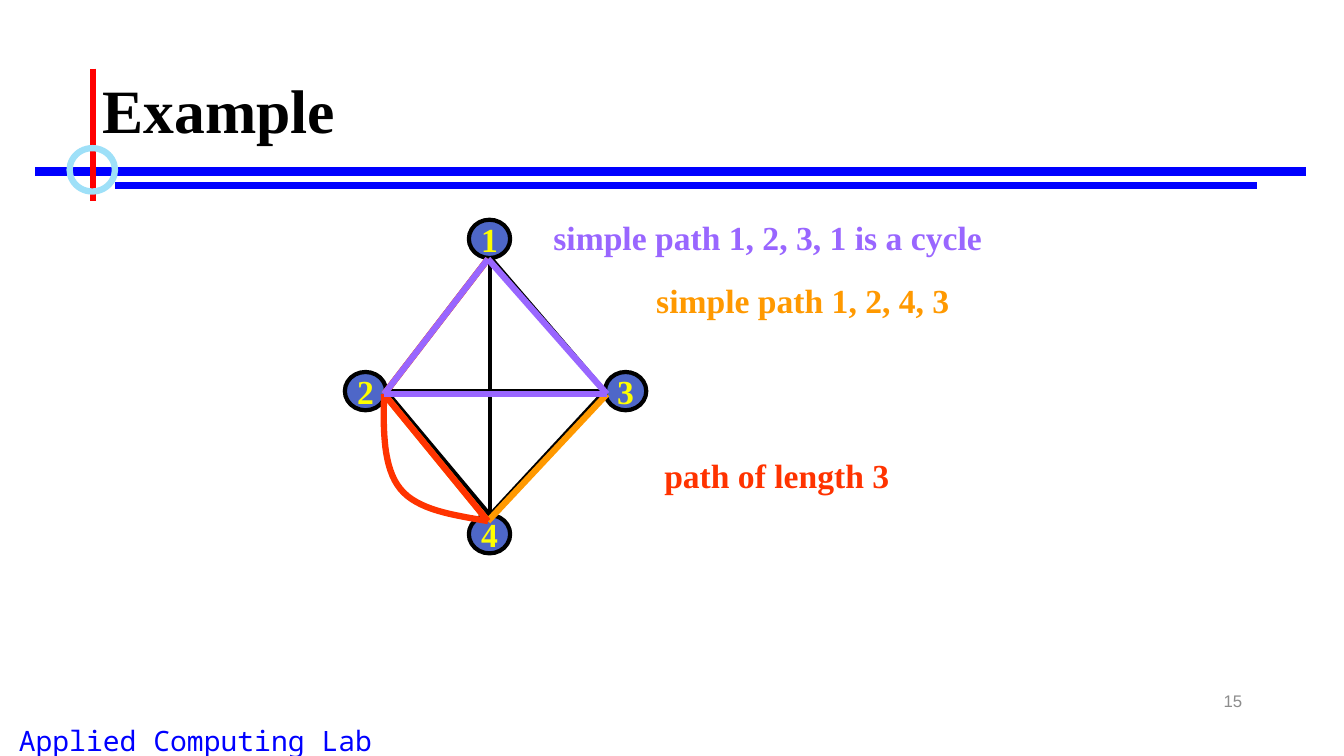
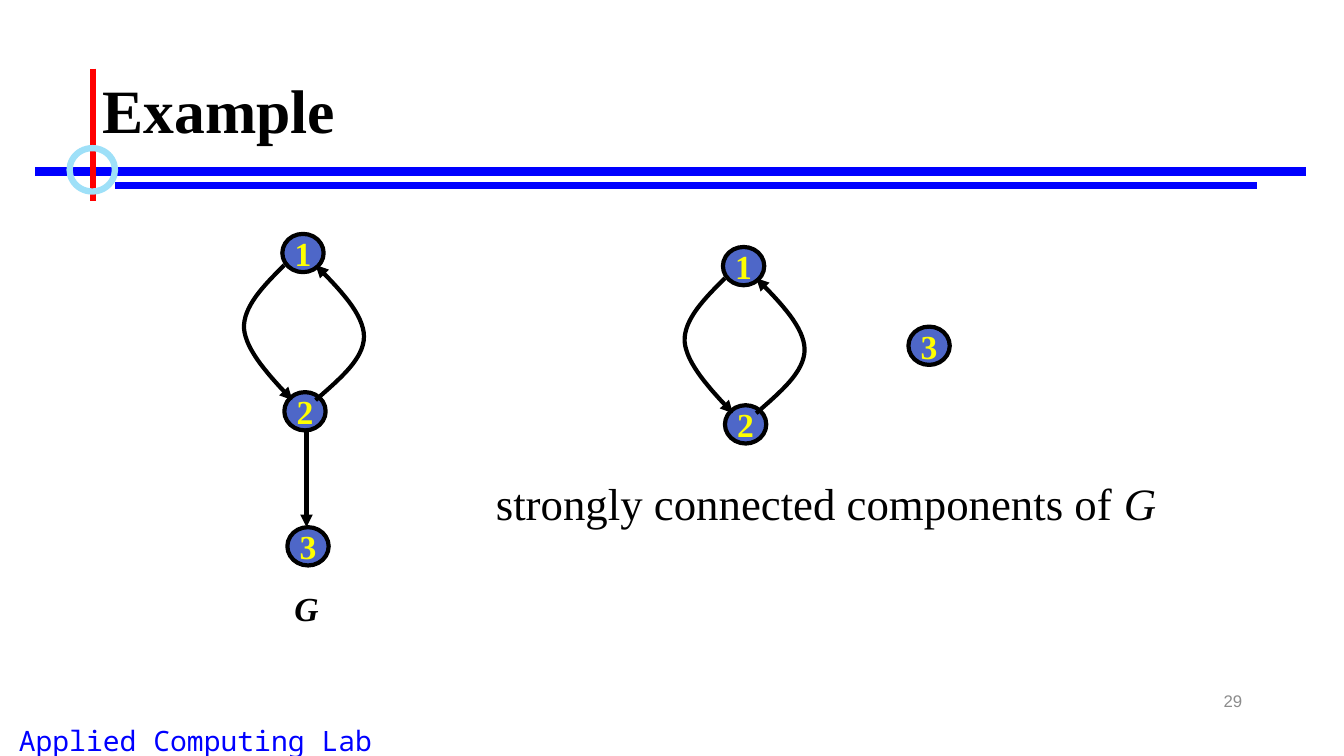
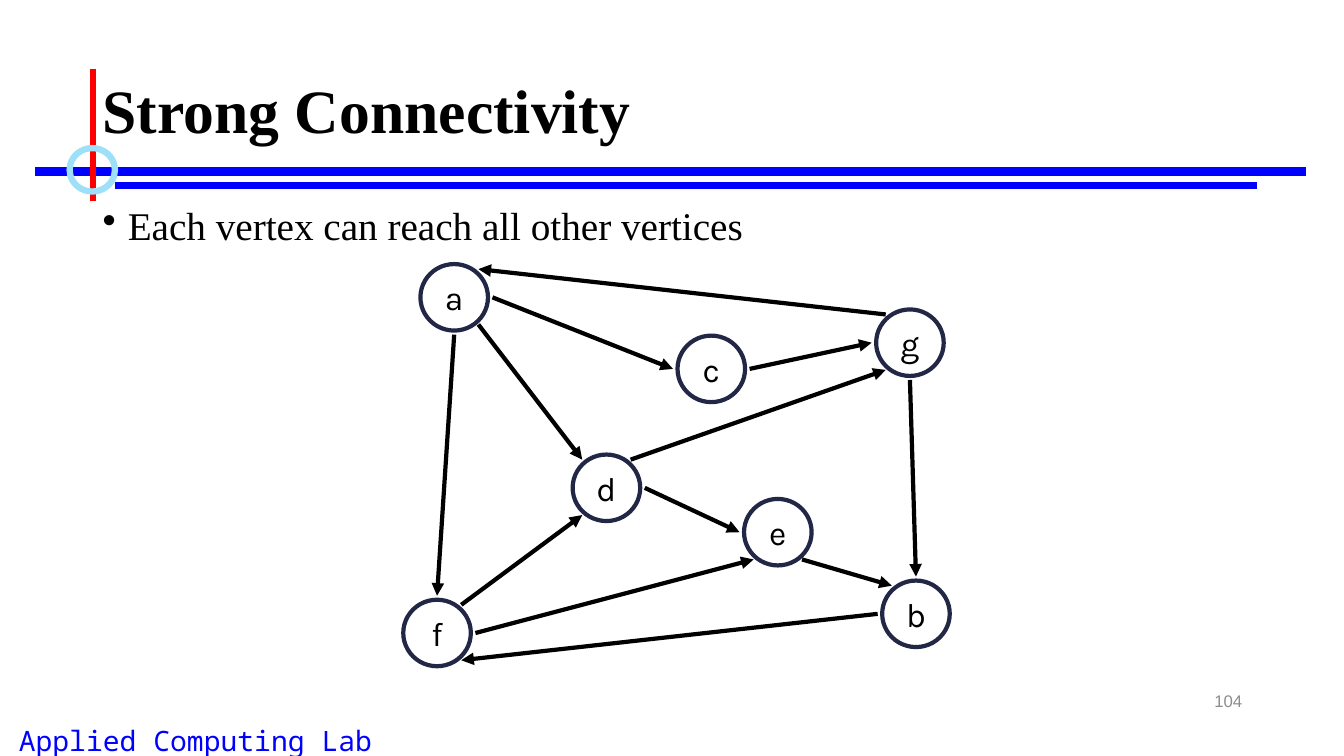
import pptx
import pptx.dml.color
import pptx.enum.shapes
import pptx.enum.text
import pptx.oxml
import pptx.oxml.ns
import pptx.util
from pptx.util import Inches

SERIF = "Times New Roman"
BLACK, WHITE, BLUE, RED = "000000", "FFFFFF", "0000FF", "FF0000"
PURPLE, ORANGE, SCARLET = "9966FF", "FF9900", "FF3300"
NAVY, NODE_FILL, YELLOW, PALE_BLUE, GREY = "212745", "4E67C8", "FFFF00", "9EE0F8", "8C8C8C"

FOOTER = "Applied Computing Lab"
RULES = [  # start, end, colour, width
    ((0.35, 1.7), (12.95, 1.7), BLUE, 6),
    ((1.14, 1.84), (12.47, 1.84), BLUE, 4.5),
    ((0.92, 0.68), (0.92, 1.99), RED, 4.5),
]

SMALL_NODE = (0.41, 0.38)
LARGE_NODE = (0.67, 0.66)

# Slide 1: a graph with three highlighted paths
GRAPH_NODES = {"1": (4.65, 2.18), "2": (3.42, 3.69), "3": (6, 3.69), "4": (4.65, 5.11)}
GRAPH_PORTS = {"1": (4.86, 2.55), "2": (3.83, 3.88), "3": (6, 3.88), "4": (4.86, 5.11)}
GRAPH_EDGES = ["14", "24", "43", "23", "12", "31"]
PATH_PORTS = {"1": (4.84, 2.57), "2": (3.81, 3.91), "3": (6.02, 3.91), "4": (4.84, 5.17)}
RETURN_CURVE = [(4.84, 5.17), (4.49, 5.11), (4.14, 5.06), (3.97, 4.85),
                (3.8, 4.64), (3.8, 4.27), (3.81, 3.91)]
PATHS = [  # vertices, colour, caption, caption box, curve
    ("1243", ORANGE, "simple path 1, 2, 4, 3", (6.41, 2.73, 3.11, 0.5), None),
    ("124", SCARLET, "path of length 3", (6.49, 4.46, 2.46, 0.51), RETURN_CURVE),
    ("1231", PURPLE, "simple path 1, 2, 3, 1 is a cycle", (5.39, 2.1, 4.49, 0.51), None),
]

# Slide 2: a two-vertex loop, drawn in G and again as a component
LOOP_NODES = {"1": (2.8, 2.32), "2": (2.82, 3.89)}
LOOP_CURVES = [
    [(3.13, 3.97), (3.37, 3.76), (3.61, 3.56), (3.61, 3.34),
     (3.61, 3.12), (3.37, 2.87), (3.13, 2.63)],
    [(2.82, 2.63), (2.62, 2.83), (2.41, 3.04), (2.42, 3.26),
     (2.44, 3.48), (2.67, 3.73), (2.9, 3.97)],
]
LOOP_OFFSETS = [(0, 0), (4.37, 0.13)]
SINGLE_NODES = [(2.85, 5.23), (9.01, 3.24)]

# Slide 3: a strongly connected directed graph
STRONG_NODES = {"a": (4.17, 2.62), "d": (5.68, 4.51), "c": (6.72, 3.33), "b": (8.75, 5.76),
                "e": (7.38, 4.95), "f": (4, 5.95), "g": (8.69, 3.07)}
PORT_OFFSETS = {  # from the centre of a node
    "left": (-0.38, 0), "right": (0.38, 0), "top": (0, -0.37), "bottom": (0, 0.37),
    "top left": (-0.24, -0.28), "top right": (0.24, -0.28),
    "bottom left": (-0.24, 0.27), "bottom right": (0.24, 0.27),
}
STRONG_EDGES = [
    ("a", "bottom", "f", "top"), ("a", "bottom right", "d", "top left"),
    ("a", "right", "c", "left"), ("g", "top left", "a", "top right"),
    ("c", "right", "g", "left"), ("g", "bottom", "b", "top"),
    ("d", "right", "e", "left"), ("e", "bottom right", "b", "top left"),
    ("f", "top right", "d", "bottom left"), ("f", "right", "e", "bottom left"),
    ("b", "left", "f", "bottom right"), ("d", "top right", "g", "bottom left"),
]


def rgb(value):
    return pptx.dml.color.RGBColor.from_string(value)


def add_element(parent, tag, **attributes):
    element = pptx.oxml.parse_xml(f"<a:{tag} {pptx.oxml.ns.nsdecls('a')}/>")
    for name, value in attributes.items():
        element.set(name, value)
    parent.append(element)


def style_line(shape, color, width, arrow=False):
    shape.line.color.rgb = rgb(color)
    shape.line.width = pptx.util.Pt(width)
    if arrow:
        line = shape.element.spPr.find(pptx.oxml.ns.qn("a:ln"))
        add_element(line, "tailEnd", type="triangle")


def style_font(font, size, color, name=SERIF, bold=False, italic=False):
    font.size = pptx.util.Pt(size)
    font.color.rgb = rgb(color)
    font.name = name
    font.bold = bold
    font.italic = italic


def add_text(slide, text, box, size, color, align="LEFT", anchor="TOP", wrap=True, **font):
    """Add a one-paragraph text box and return its paragraph."""
    frame = slide.shapes.add_textbox(*map(Inches, box)).text_frame
    frame.word_wrap = wrap
    frame.vertical_anchor = pptx.enum.text.MSO_ANCHOR[anchor]
    paragraph = frame.paragraphs[0]
    paragraph.text = text
    paragraph.alignment = pptx.enum.text.PP_ALIGN[align]
    style_font(paragraph.font, size, color, **font)
    return paragraph


def add_line(slide, start, end, color=BLACK, width=3, arrow=False):
    connector = slide.shapes.add_connector(
        pptx.enum.shapes.MSO_CONNECTOR.STRAIGHT, *map(Inches, (*start, *end)))
    style_line(connector, color, width, arrow)
    add_element(connector.element.spPr, "effectLst")


def add_ellipse(slide, box, color, width, fill=None):
    ellipse = slide.shapes.add_shape(
        pptx.enum.shapes.MSO_SHAPE.OVAL, *map(Inches, box))
    ellipse.shadow.inherit = False
    if fill:
        ellipse.fill.solid()
        ellipse.fill.fore_color.rgb = rgb(fill)
    else:
        ellipse.fill.background()
    style_line(ellipse, color, width)
    return ellipse


def add_node(slide, label, corner, size=SMALL_NODE, fill=NODE_FILL, outline=BLACK,
             color=YELLOW, name=SERIF, bold=True):
    node = add_ellipse(slide, (*corner, *size), outline, 3, fill)
    frame = node.text_frame
    frame.word_wrap = False
    frame.vertical_anchor = pptx.enum.text.MSO_ANCHOR.MIDDLE
    paragraph = frame.paragraphs[0]
    paragraph.text = label
    paragraph.alignment = pptx.enum.text.PP_ALIGN.CENTER
    style_font(paragraph.font, 24, color, name, bold)


def bezier_point(controls, t):
    weights = ((1 - t) ** 3, 3 * t * (1 - t) ** 2, 3 * t ** 2 * (1 - t), t ** 3)
    return tuple(sum(weight * point[axis] for weight, point in zip(weights, controls))
                 for axis in (0, 1))


def add_curve(slide, controls, color=BLACK, width=3, arrow=False, steps=16):
    """Draw chained cubic Bezier curves that share their end points."""
    points = [controls[0]]
    for first in range(0, len(controls) - 1, 3):
        section = controls[first:first + 4]
        points += [bezier_point(section, step / steps) for step in range(1, steps + 1)]
    vertices = [(Inches(x), Inches(y)) for x, y in points]
    builder = slide.shapes.build_freeform(*vertices[0])
    builder.add_line_segments(vertices[1:], close=False)
    curve = builder.convert_to_shape()
    curve.shadow.inherit = False
    curve.fill.background()
    style_line(curve, color, width, arrow)


def shift(point, offset):
    return point[0] + offset[0], point[1] + offset[1]


def add_slide(presentation, title, number):
    """Add a slide with the shared rules, title, footer and number."""
    slide = presentation.slides.add_slide(presentation.slide_layouts[6])
    add_text(slide, FOOTER, (-0.58, 7.13, 5.04, 0.43), 20, BLUE, "CENTER",
             name="Noto Sans Mono")
    for rule in RULES:
        add_line(slide, *rule)
    add_ellipse(slide, (0.69, 1.47, 0.45, 0.43), PALE_BLUE, 4.5)
    add_text(slide, number, (9.42, 6.75, 3, 0.4), 12, GREY, "RIGHT", "MIDDLE", name="Arial")
    heading = add_text(slide, title, (0.92, 0.4, 11.5, 1.45), 44, BLACK,
                       anchor="MIDDLE", bold=True)
    heading.line_spacing = 0.9
    return slide


def build_paths_slide(presentation):
    slide = add_slide(presentation, "Example", "15")
    for start, end in GRAPH_EDGES:
        add_line(slide, GRAPH_PORTS[start], GRAPH_PORTS[end])
    for label, corner in GRAPH_NODES.items():
        add_node(slide, label, corner)
    for vertices, color, caption, box, curve in PATHS:
        for start, end in zip(vertices, vertices[1:]):
            add_line(slide, PATH_PORTS[start], PATH_PORTS[end], color, 4.5)
        if curve:
            add_curve(slide, curve, color, 4.5)
        add_text(slide, caption, box, 24, color, wrap=False, bold=True)


def build_components_slide(presentation):
    slide = add_slide(presentation, "Example", "29")
    add_line(slide, (3.04, 4.28), (3.04, 5.23), arrow=True)
    for offset in LOOP_OFFSETS:
        for label, corner in LOOP_NODES.items():
            add_node(slide, label, shift(corner, offset))
        for curve in LOOP_CURVES:
            add_curve(slide, [shift(point, offset) for point in curve], arrow=True)
    for corner in SINGLE_NODES:
        add_node(slide, "3", corner)
    add_text(slide, "G", (2.82, 5.78, 0.45, 0.51), 24, BLACK, wrap=False,
             bold=True, italic=True)
    caption = add_text(slide, "strongly connected components of ",
                       (4.82, 4.67, 7, 0.63), 32, BLACK)
    graph_name = caption.add_run()
    graph_name.text = "G"
    graph_name.font.italic = True


def build_connectivity_slide(presentation):
    slide = add_slide(presentation, "Strong Connectivity", "104")
    statement = add_text(slide, "", (0.92, 2, 11.5, 4.76), 28, BLACK)
    statement.text = "Each vertex can reach all other vertices"
    statement.line_spacing = 0.9
    properties = statement.element.get_or_add_pPr() if hasattr(statement, "element") \
        else statement._p.get_or_add_pPr()
    properties.set("marL", str(Inches(0.25)))
    properties.set("indent", str(Inches(-0.25)))
    bullet = pptx.oxml.parse_xml(f'<a:buChar {pptx.oxml.ns.nsdecls("a")} char="•"/>')
    properties.find(pptx.oxml.ns.qn("a:defRPr")).addprevious(bullet)

    centres = {}
    for label, corner in STRONG_NODES.items():
        add_node(slide, label, corner, LARGE_NODE, WHITE, NAVY, BLACK, "Karla", False)
        centres[label] = shift(corner, (LARGE_NODE[0] / 2, LARGE_NODE[1] / 2))
    for start, start_port, end, end_port in STRONG_EDGES:
        add_line(slide, shift(centres[start], PORT_OFFSETS[start_port]),
                 shift(centres[end], PORT_OFFSETS[end_port]), arrow=True)


def main():
    presentation = pptx.Presentation()
    presentation.slide_width = Inches(13.33)
    presentation.slide_height = Inches(7.5)
    build_paths_slide(presentation)
    build_components_slide(presentation)
    build_connectivity_slide(presentation)
    presentation.save("out.pptx")


if __name__ == "__main__":
    main()
